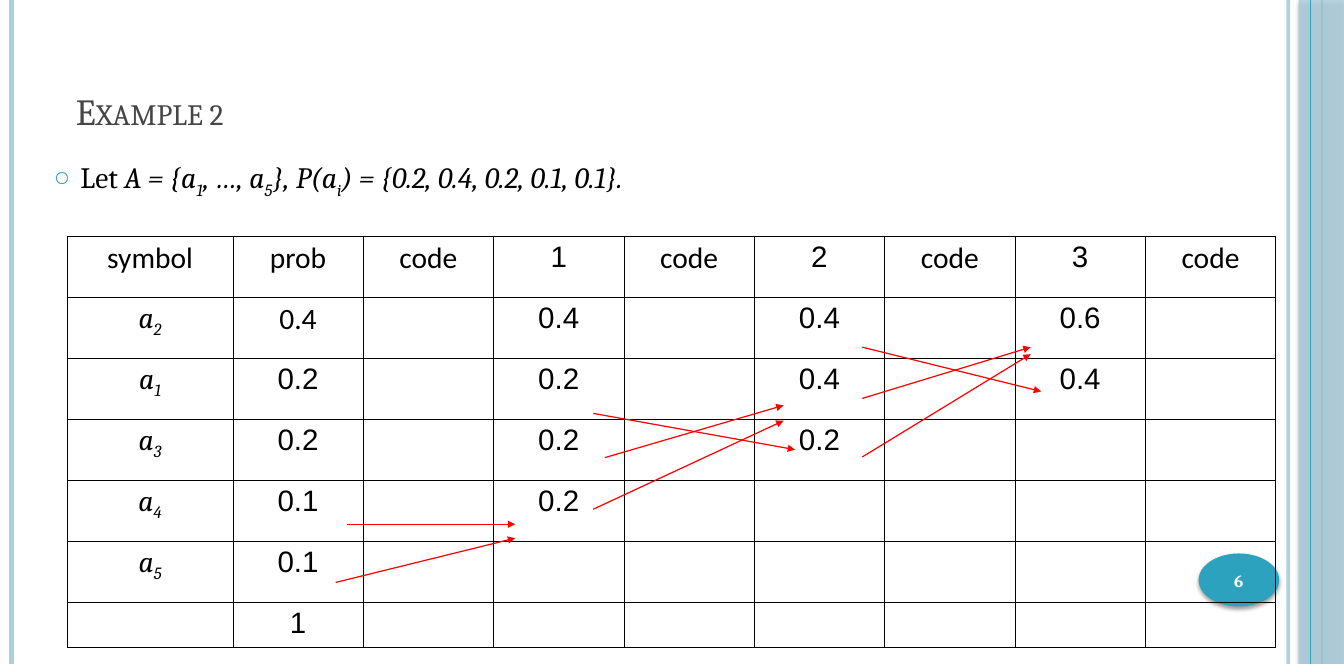
import pptx
import pptx.dml.color
import pptx.enum.shapes
import pptx.enum.text
import pptx.oxml
import pptx.oxml.ns
import pptx.util
from dataclasses import dataclass

Cm, Pt = pptx.util.Cm, pptx.util.Pt
SHAPE = pptx.enum.shapes.MSO_SHAPE
ALIGN = pptx.enum.text.PP_ALIGN
ANCHOR = pptx.enum.text.MSO_ANCHOR


@dataclass(frozen=True)
class Theme:
    """Colours, fonts and type sizes."""
    ink: str = "000000"
    title_ink: str = "464646"
    paper: str = "FFFFFF"
    pale: str = "ADCEDC"
    accent: str = "2DA2BF"
    arrow: str = "FF0000"
    serif: str = "Cambria"
    sans: str = "Calibri"
    digits: str = "Arial"
    title_size: int = 30
    text_size: int = 24
    number_size: int = 14


THEME = Theme()

# Content
TITLE = "Example 2"
PAGE_NUMBER = "6"
# (text, italic, subscript)
STATEMENT = [
    ("Let ", False, False), ("A = {a", True, False), ("1", True, True),
    (", …, a", True, False), ("5", True, True), ("}, P(a", True, False),
    ("i", True, True), (") = {0.2, 0.4, 0.2, 0.1, 0.1}.", True, False),
]
HEADER = ["symbol", "prob", "code", "1", "code", "2", "code", "3", "code"]
SYMBOLS = ["2", "1", "3", "4", "5"]
# Probability columns of the table, read downwards from the second row
STAGES = {
    1: ["0.4", "0.2", "0.2", "0.1", "0.1", "1"],
    3: ["0.4", "0.2", "0.2", "0.2"],
    5: ["0.4", "0.4", "0.2"],
    7: ["0.6", "0.4"],
}
LEFT_TO_RIGHT_CELL = (1, 1)

# Geometry in centimetres
WIDTH, HEIGHT = 38.56, 19.05
TABLE_LEFT, TABLE_TOP = 1.93, 6.78
COLUMNS = [4.75] + [3.74] * 8
ROWS = [1.75] * 6 + [1.12]
# (x, colour, points, opacity)
OUTER_RULES = [(36.96, THEME.pale, 3, 93), (0.33, THEME.pale, 4.5, 100),
               (37.92, THEME.accent, 1.5, 100)]
INNER_RULE = (37.59, THEME.accent, 0.75, 100)
MERGE_ARROWS = [
    (9.63, 16.71, 14.78, 15.44), (9.96, 15.04, 14.78, 15.04),
    (17.02, 14.61, 22.48, 12.07), (17.35, 13.13, 22.48, 11.63),
    (24.74, 13.11, 29.57, 10.16), (24.74, 11.43, 29.57, 9.96),
    (24.74, 9.96, 29.87, 11.23), (17.02, 11.86, 22.81, 12.9),
]


def rgb(colour):
    """Turn a hex string into a colour."""
    return pptx.dml.color.RGBColor.from_string(colour)


def xml(markup):
    """Parse one drawing element, given without its prefix declaration."""
    head, mark, rest = markup.partition(" ")
    return pptx.oxml.parse_xml(f"{head} {pptx.oxml.ns.nsdecls('a')} {rest}")


def set_opacity(element, percent):
    """Make the solid colour inside an element partly transparent."""
    if percent < 100:
        colour = next(element.iter(pptx.oxml.ns.qn("a:srgbClr")))
        colour.append(xml(f'<a:alpha val="{percent * 1000}"/>'))


def add_line(page, start_x, start_y, end_x, end_y, colour, width, opacity=100, arrow=False):
    """Draw a straight line without a shadow."""
    line = page.shapes.add_connector(
        pptx.enum.shapes.MSO_CONNECTOR.STRAIGHT,
        Cm(start_x), Cm(start_y), Cm(end_x), Cm(end_y))
    line.line.color.rgb = rgb(colour)
    line.line.width = Pt(width)
    properties = line._element.spPr
    set_opacity(properties, opacity)
    if arrow:
        line.line._get_or_add_ln().append(xml('<a:tailEnd type="triangle"/>'))
    properties.append(xml("<a:effectLst />"))


def add_rule(page, x, colour, width, opacity):
    """Draw a rule over the full page height."""
    add_line(page, x, 0, x, HEIGHT, colour, width, opacity)


def add_shadowed(page, kind, left, top, width, height, colour, opacity=100):
    """Add a filled shape with a soft shadow below it."""
    shape = page.shapes.add_shape(kind, Cm(left), Cm(top), Cm(width), Cm(height))
    shape.fill.solid()
    shape.fill.fore_color.rgb = rgb(colour)
    shape.line.fill.background()
    properties = shape._element.spPr
    set_opacity(properties, opacity)
    properties.append(xml(
        '<a:effectLst ><a:outerShdw blurRad="44450" dist="25400" dir="5400000" rotWithShape="0">'
        '<a:srgbClr val="000000"><a:alpha val="38000"/></a:srgbClr>'
        '</a:outerShdw></a:effectLst>'))


def add_text(page, left, top, width, height, anchor=ANCHOR.TOP):
    """Add a wrapping text box and return its first paragraph."""
    box = page.shapes.add_textbox(Cm(left), Cm(top), Cm(width), Cm(height))
    box.text_frame.word_wrap = True
    box.text_frame.vertical_anchor = anchor
    return box.text_frame.paragraphs[0]


def style(para, face, size, colour):
    """Set the font that all runs of a paragraph share."""
    para.font.name = face
    para.font.size = Pt(size)
    para.font.color.rgb = rgb(colour)


def add_spans(para, spans):
    """Add runs given as (text, italic, subscript)."""
    for text, italic, subscript in spans:
        span = para.add_run()
        span.text = text
        span.font.italic = italic
        if subscript:
            span.font._element.set("baseline", "-25000")


def add_title(page):
    """Write the title in small capitals."""
    para = add_text(page, 1.93, 0.76, 31.5, 3.18, ANCHOR.BOTTOM)
    para.text = TITLE
    style(para, THEME.serif, THEME.title_size, THEME.title_ink)
    para.runs[0].font._element.set("cap", "small")


def add_statement(page):
    """Write the bulleted statement of the source alphabet."""
    para = add_text(page, 1.3, 4.45, 36.3, 1.9)
    para.space_before = Pt(6)
    properties = para._p.get_or_add_pPr()
    properties.set("marL", str(Cm(0.76)))
    properties.set("indent", str(-Cm(0.76)))
    for markup in (f'<a:buClr ><a:srgbClr val="{THEME.accent}"/></a:buClr>',
                   '<a:buSzPct val="70000"/>', '<a:buChar char="○"/>'):
        properties.append(xml(markup))
    style(para, THEME.serif, THEME.text_size, THEME.ink)
    add_spans(para, STATEMENT)


def cell_spans(row, column):
    """Give the runs that belong in a table cell."""
    if row == 0:
        return [(HEADER[column], False, False)]
    if column == 0 and row <= len(SYMBOLS):
        return [("a", True, False), (SYMBOLS[row - 1], True, True)]
    values = STAGES.get(column, [])
    return [(values[row - 1], False, False)] if row <= len(values) else []


def fill_cell(cell, row, column):
    """Write, align and border one cell."""
    cell.margin_left = cell.margin_right = Cm(0.03)
    cell.margin_top = cell.margin_bottom = Cm(0.13)
    properties = cell._tc.get_or_add_tcPr()
    for side in ("lnL", "lnR", "lnT", "lnB"):
        properties.append(xml(
            f'<a:{side} w="6350"><a:solidFill><a:srgbClr val="{THEME.ink}"/>'
            f'</a:solidFill></a:{side}>'))
    cell.fill.background()
    spans = cell_spans(row, column)
    if not spans:
        return
    para = cell.text_frame.paragraphs[0]
    para.alignment = ALIGN.CENTER
    is_symbol = row > 0 and column == 0
    style(para, THEME.serif if is_symbol else THEME.sans, THEME.text_size, THEME.ink)
    add_spans(para, spans)
    if not is_symbol and (row, column) != LEFT_TO_RIGHT_CELL:
        para._p.get_or_add_pPr().set("rtl", "1")
        para.font._element.append(xml(f'<a:cs typeface="{THEME.digits}"/>'))


def add_code_table(page):
    """Build the table of merging stages."""
    table = page.shapes.add_table(
        len(ROWS), len(COLUMNS), Cm(TABLE_LEFT), Cm(TABLE_TOP),
        Cm(sum(COLUMNS)), Cm(sum(ROWS))).table
    table.first_row = table.horz_banding = False
    for column, width in enumerate(COLUMNS):
        table.columns[column].width = Cm(width)
    for row, height in enumerate(ROWS):
        table.rows[row].height = Cm(height)
        for column in range(len(COLUMNS)):
            fill_cell(table.cell(row, column), row, column)


def add_page_number(page):
    """Write the page number over its badge."""
    para = add_text(page, 34.26, 15.93, 2.57, 1.45, ANCHOR.MIDDLE)
    para.text = PAGE_NUMBER
    para.alignment = ALIGN.CENTER
    style(para, THEME.serif, THEME.number_size, THEME.paper)
    para.font.bold = True


deck = pptx.Presentation()
deck.slide_width, deck.slide_height = Cm(WIDTH), Cm(HEIGHT)
page = deck.slides.add_slide(deck.slide_layouts[6])
for rule in OUTER_RULES:
    add_rule(page, *rule)
add_shadowed(page, SHAPE.RECTANGLE, 37.26, 0, 1.3, HEIGHT, THEME.pale, 87)
add_rule(page, *INNER_RULE)
add_shadowed(page, SHAPE.OVAL, 34.39, 15.88, 2.31, 1.52, THEME.accent)
add_title(page)
add_code_table(page)
add_statement(page)
for ends in MERGE_ARROWS:
    add_line(page, *ends, THEME.arrow, 1, arrow=True)
add_page_number(page)
deck.save("out.pptx")
